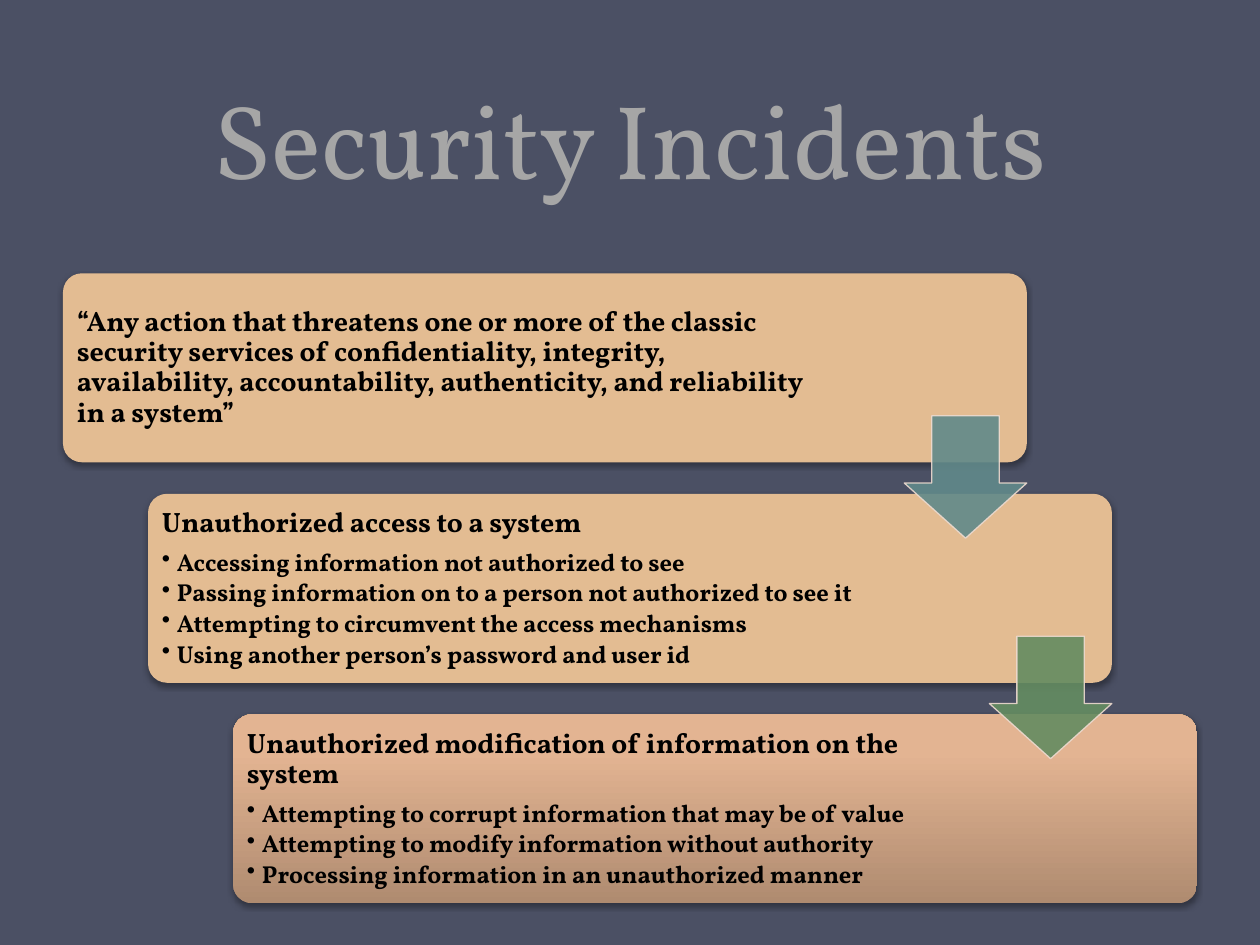
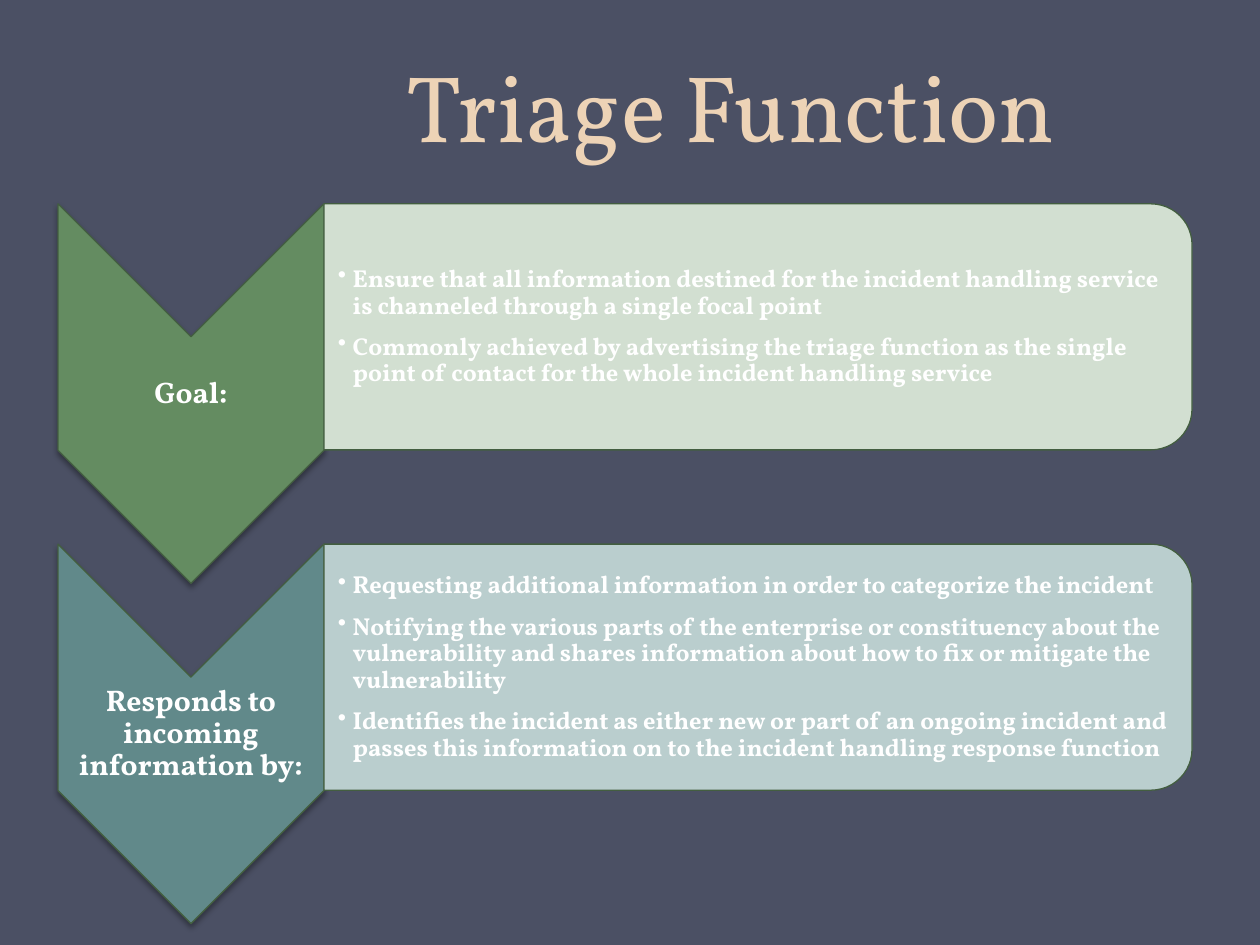
from copy import deepcopy
from dataclasses import dataclass

from lxml import etree
from pptx import Presentation
from pptx import util as u
from pptx.dml.color import RGBColor
from pptx.enum import shapes, text
from pptx.oxml.ns import qn

Cm, Pt = u.Cm, u.Pt
MSO = shapes.MSO_SHAPE


@dataclass(frozen=True)
class Theme:
    font: str = "Vollkorn"
    back: str = "4B5064"
    grey: str = "A6A6A6"
    cream: str = "EDD3B6"
    sand: str = "E3BC92"
    green: str = "648C61"
    teal: str = "61898A"
    pale_green: str = "D2DFD1"
    pale_teal: str = "BACECE"
    edge: str = "435E40"
    arrow_edge: str = "EEDBD0"
    black: str = "000000"
    white: str = "FFFFFF"
    clay: tuple = ((0, "AF8B70"), (0.8, "E3B492"), (1, "E5B591"))
    head: int = 16
    label: int = 17
    bullet: int = 14


T = Theme()

INCIDENTS = [
    ("“Any action that threatens one or more of the classic security services of "
     "confidentiality, integrity, availability, accountability, authenticity, and "
     "reliability in a system”", [], T.sand, 15.32),
    ("Unauthorized access to a system",
     ["Accessing information not authorized to see",
      "Passing information on to a person not authorized to see it",
      "Attempting to circumvent the access mechanisms",
      "Using another person’s password and user id"], T.sand, 15.01),
    ("Unauthorized modification of information on the system",
     ["Attempting to corrupt information that may be of value",
      "Attempting to modify information without authority",
      "Processing information in an unauthorized manner"], T.clay, 15.01),
]

TRIAGE = [
    ("Goal:",
     ["Ensure that all information destined for the incident handling service is "
      "channeled through a single focal point",
      "Commonly achieved by advertising the triage function as the single point of "
      "contact for the whole incident handling service"], T.green, T.pale_green),
    ("Responds to incoming information by:",
     ["Requesting additional information in order to categorize the incident",
      "Notifying the various parts of the enterprise or constituency about the "
      "vulnerability and shares information about how to fix or mitigate the "
      "vulnerability",
      "Identifies the incident as either new or part of an ongoing incident and "
      "passes this information on to the incident handling response function"],
     T.teal, T.pale_teal),
]


def rgb(value):
    return RGBColor.from_string(value)


# Fills and effects
def set_alpha(sp, percent):
    """Make the solid fill and the line of a shape translucent."""
    for clr in sp._element.spPr.iter(qn("a:srgbClr")):
        etree.SubElement(clr, qn("a:alpha"), val=str(percent * 1000))


def add_shadow(sp):
    effects = sp._element.spPr.find(qn("a:effectLst"))
    shadow = etree.SubElement(effects, qn("a:outerShdw"), blurRad=str(Pt(3.1)),
                              dist=str(Pt(1.8)), dir="5400000", rotWithShape="0")
    clr = etree.SubElement(shadow, qn("a:srgbClr"), val=T.black)
    etree.SubElement(clr, qn("a:alpha"), val="35000")


def set_gradient(sp, stops):
    sp.fill.gradient()
    sp.fill.gradient_angle = 90
    gs_list = sp._element.spPr.find(".//" + qn("a:gsLst"))
    while len(gs_list) < len(stops):
        gs_list.append(deepcopy(gs_list[-1]))
    for stop, (position, color) in zip(sp.fill.gradient_stops, stops):
        stop.position = position
        stop.color.rgb = rgb(color)


# Shapes
def add_shape(s, kind, box, fill, line=None, adj=(), shadow=False):
    sp = s.shapes.add_shape(kind, *map(Cm, box))
    for i, value in enumerate(adj):
        sp.adjustments[i] = value
    sp.shadow.inherit = False
    if isinstance(fill, tuple):
        set_gradient(sp, fill)
    else:
        sp.fill.solid()
        sp.fill.fore_color.rgb = rgb(fill)
    if line:
        sp.line.color.rgb = rgb(line)
        sp.line.width = Pt(0.75)
    else:
        sp.line.fill.background()
    if shadow:
        add_shadow(sp)
    return sp


def add_turned_shape(s, kind, box, fill, shadow=False):
    """Add a shape turned by 90 degrees that covers the given box."""
    left, top, width, height = box
    shift = (width - height) / 2
    sp = add_shape(s, kind, (left + shift, top - shift, height, width),
                   fill, T.edge, shadow=shadow)
    sp.rotation = 90


# Text
def add_text_box(s, box, inset, left_inset=None):
    tf = s.shapes.add_textbox(*map(Cm, box)).text_frame
    tf.word_wrap = True
    tf.vertical_anchor = text.MSO_ANCHOR.MIDDLE
    tf.margin_left = Cm(left_inset or inset)
    tf.margin_right = tf.margin_top = tf.margin_bottom = Cm(inset)
    return tf


def add_run(p, words, size, color, bold=True):
    r = p.add_run()
    r.text = words
    r.font.name = T.font
    r.font.size = Pt(size)
    r.font.bold = bold
    r.font.color.rgb = rgb(color)


def add_paragraph(tf, words, size, color, after, bullet=False, align=None):
    first = tf.paragraphs[0]
    p = tf.add_paragraph() if first.runs else first
    p.line_spacing = 0.9
    p.space_after = Pt(after)
    p.alignment = align
    if bullet:
        pPr = p._p.get_or_add_pPr()
        pPr.set("marL", str(Cm(0.3)))
        pPr.set("indent", str(-Cm(0.3)))
        etree.SubElement(pPr, qn("a:buChar"), char="•")
    add_run(p, words, size, color)


def add_title_slide(prs, words, box, size, color):
    s = prs.slides.add_slide(prs.slide_layouts[5])
    title = s.shapes.title
    title.left, title.top, title.width, title.height = map(Cm, box)
    tf = title.text_frame
    tf.auto_size = text.MSO_AUTO_SIZE.NONE
    tf.vertical_anchor = text.MSO_ANCHOR.BOTTOM
    p = tf.paragraphs[0]
    p.alignment = text.PP_ALIGN.CENTER
    p.line_spacing = Pt(58)
    add_run(p, words, size, color, bold=False)
    return s


# Slides
def build_incidents(prs):
    s = add_title_slide(prs, "Security Incidents", (0, -0.28, 25.4, 4.45), 60, T.grey)
    width, height, arrow = 19.43, 3.81, 2.47
    corners = [(1.27 + 1.715 * i, 5.51 + 4.445 * i) for i in range(len(INCIDENTS))]

    # Staircase of cards
    for (left, top), (head, bullets, fill, text_width) in zip(corners, INCIDENTS):
        add_shape(s, MSO.ROUNDED_RECTANGLE, (left, top, width, height), fill,
                  adj=(0.1,), shadow=True)
        tf = add_text_box(s, (left + 0.11, top + 0.11, text_width, height - 0.22), 0.17)
        add_paragraph(tf, head, T.head, T.black, 6.6)
        for words in bullets:
            add_paragraph(tf, words, T.bullet, T.black, 2.4, bullet=True)

    # Arrows from each card to the next
    for (left, top), fill in zip(corners, (T.teal, T.green)):
        sp = add_shape(s, MSO.DOWN_ARROW,
                       (left + width - arrow, top + 2.87, arrow, arrow),
                       fill, T.arrow_edge, adj=(0.55, 0.45))
        set_alpha(sp, 90)


def build_triage(prs):
    s = add_title_slide(prs, "Triage Function", (3.3, -1.07, 22.86, 4.45), 54, T.cream)
    left, width = 1.17, 5.36
    bar_left = left + width
    for i, (label, bullets, dark, pale) in enumerate(TRIAGE):
        top = 4.11 + 6.86 * i

        # Chevron with its label
        add_turned_shape(s, MSO.CHEVRON, (left, top, width, 7.65), dark, shadow=True)
        tf = add_text_box(s, (left, top + 2.68, width, 2.29), 0.03)
        add_paragraph(tf, label, T.label, T.white, 7, align=text.PP_ALIGN.CENTER)

        # Bar with the bullets
        add_turned_shape(s, MSO.ROUND_2_SAME_RECTANGLE,
                         (bar_left, top, 17.5, 4.96), pale)
        tf = add_text_box(s, (bar_left, top + 0.24, 17.27, 4.48), 0.03, left_inset=0.28)
        for words in bullets:
            add_paragraph(tf, words, T.bullet, T.white, 8.5, bullet=True)


def main():
    prs = Presentation()
    prs.slide_width, prs.slide_height = Cm(25.4), Cm(19.05)
    back = prs.slide_master.background.fill
    back.solid()
    back.fore_color.rgb = rgb(T.back)
    build_incidents(prs)
    build_triage(prs)
    prs.save("out.pptx")


if __name__ == "__main__":
    main()
